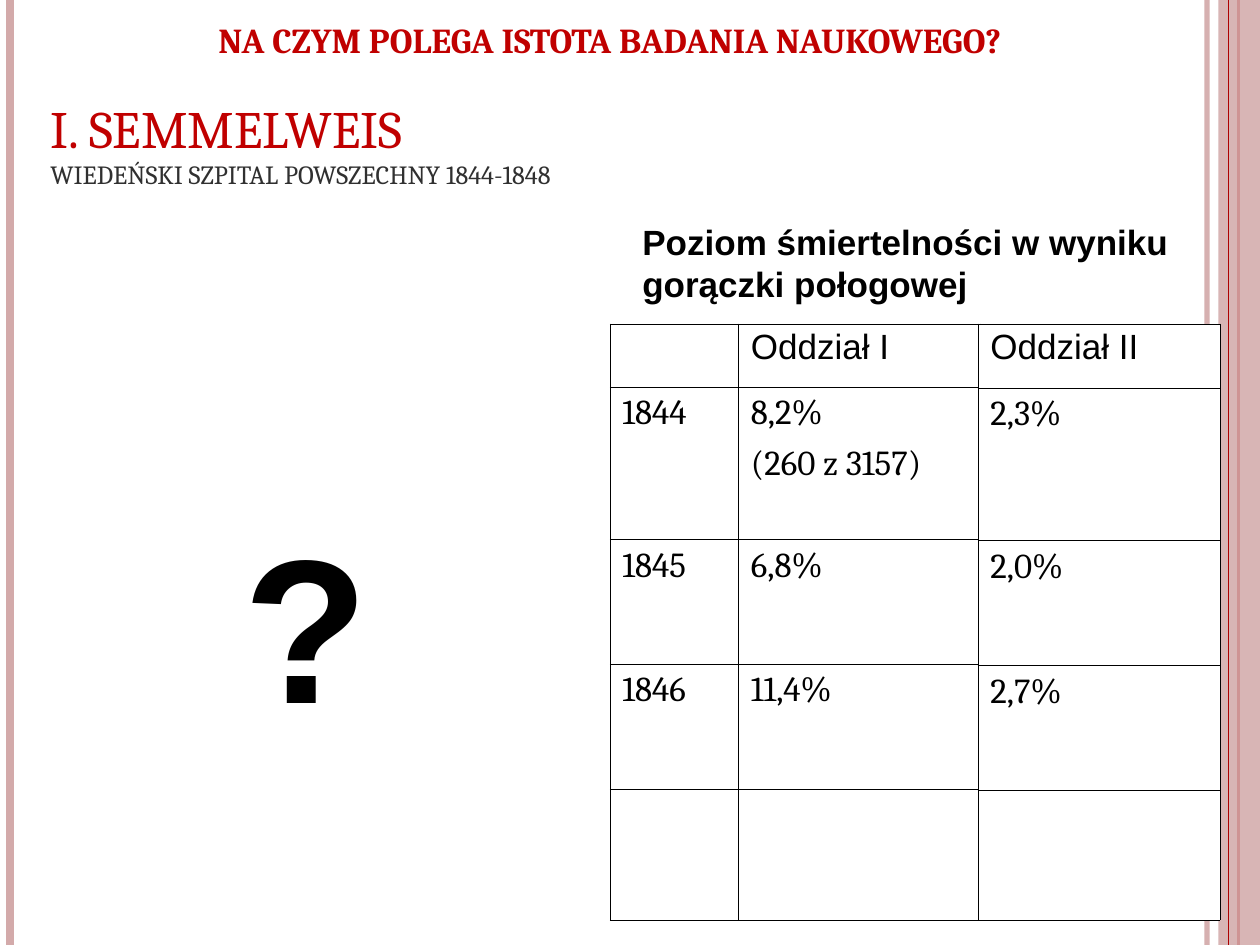
"""Build the Semmelweis slide with its mortality tables."""
from lxml import etree
from pptx import Presentation, util as u
from pptx.dml.color import RGBColor
from pptx.enum import shapes, text
from pptx.oxml import ns

COLORS = {"black": "000000", "white": "FFFFFF", "red": "C00000",
          "deep_red": "AD0101", "rose": "D3AAAA", "grey": "303030"}
WIDTH, HEIGHT = 10, 7.5
BORDER = 0.11

HEADLINE = "NA CZYM POLEGA ISTOTA BADANIA NAUKOWEGO?"
TITLE = [("I. SEMMELWEIS ", 30, "red"),
         ("WIEDEŃSKI SZPITAL POWSZECHNY 1844-1848", 15, "grey")]
CAPTION = "Poziom śmiertelności w wyniku gorączki połogowej"
RULES = [(9.58, "rose", 3, 93), (0.08, "rose", 4.5, 100), (9.83, "deep_red", 1.5, 100)]
BAND = (9.67, 0, 0.33, HEIGHT)
FRONT_RULE = (9.75, "deep_red", 0.75, 100)
WARD_I = [["", "Oddział I"], ["1844", "8,2%\n(260 z 3157)"], ["1845", "6,8%"],
          ["1846", "11,4%"], ["", ""]]
WARD_II = [["Oddział II"], ["2,3%"], ["2,0%"], ["2,7%"], [""]]
TABLE_TOP = 2.57
TABLES = [(4.84, [1.02, 1.92], [0.5, 1.21, 0.99, 0.99, 1.04], WARD_I),
          (7.76, [1.92], [0.51, 1.21, 0.99, 0.99, 1.03], WARD_II)]


def color(name):
    return RGBColor.from_string(COLORS[name])


def box(*lengths):
    return [u.Inches(length) for length in lengths]


def set_font(target, size, name="Arial", shade="black", bold=False):
    font = target.font
    font.size, font.name, font.bold = u.Pt(size), name, bold
    font.color.rgb = color(shade)


def set_alpha(shape, percent):
    for fill in shape._element.spPr.iter(ns.qn("a:srgbClr")):
        etree.SubElement(fill, ns.qn("a:alpha")).set("val", str(percent * 1000))


def add_rule(slide, left, shade, width, opacity):
    rule = slide.shapes.add_connector(shapes.MSO_CONNECTOR.STRAIGHT,
                                      *box(left, 0, left, HEIGHT))
    rule.line.color.rgb = color(shade)
    rule.line.width = u.Pt(width)
    etree.SubElement(rule._element.spPr, ns.qn("a:effectLst"))
    if opacity < 100:
        set_alpha(rule, opacity)


def add_band(slide):
    band = slide.shapes.add_shape(shapes.MSO_SHAPE.RECTANGLE, *box(*BAND))
    band.shadow.inherit = False
    band.fill.solid()
    band.fill.fore_color.rgb = color("rose")
    band.line.fill.background()
    set_alpha(band, 87)


def add_text(slide, place, words, size, align, name="Arial", shade="black",
             anchor=text.MSO_ANCHOR.TOP):
    frame = slide.shapes.add_textbox(*box(*place)).text_frame
    frame.word_wrap = True
    frame.vertical_anchor = anchor
    paragraph = frame.paragraphs[0]
    paragraph.text = words
    paragraph.alignment = align
    set_font(paragraph, size, name, shade, True)


def format_title(slide):
    title = slide.shapes.title
    title.left, title.top, title.width, title.height = box(0.3, 0.63, 8.17, 0.93)
    frame = title.text_frame
    frame.word_wrap = True
    frame.auto_size = text.MSO_AUTO_SIZE.NONE
    frame.vertical_anchor = text.MSO_ANCHOR.BOTTOM
    paragraph = frame.paragraphs[0]
    paragraph.alignment = text.PP_ALIGN.LEFT
    for index, (words, size, shade) in enumerate(TITLE):
        if index:
            paragraph.add_line_break()
        run = paragraph.add_run()
        run.text = words
        set_font(run, size, "Cambria", shade)


def add_borders(cell):
    properties = cell._tc.get_or_add_tcPr()
    for index, side in enumerate(("lnL", "lnR", "lnT", "lnB")):
        line = etree.Element(ns.qn(f"a:{side}"), w=str(u.Pt(BORDER)))
        fill = etree.SubElement(line, ns.qn("a:solidFill"))
        etree.SubElement(fill, ns.qn("a:srgbClr"), val=COLORS["black"])
        properties.insert(index, line)


def fill_cell(cell, words, header):
    cell.fill.solid()
    cell.fill.fore_color.rgb = color("white")
    add_borders(cell)
    cell.text_frame.text = words
    for index, paragraph in enumerate(cell.text_frame.paragraphs):
        set_font(paragraph, 20, "Arial" if header else "Cambria")
        if header:
            paragraph.line_spacing = 0.93
        if index:
            paragraph.space_before = u.Pt(6)


def add_ward(slide, left, columns, rows, content):
    frame = slide.shapes.add_table(len(rows), len(columns),
                                   *box(left, TABLE_TOP, sum(columns), sum(rows)))
    table = frame.table
    table.first_row = table.horz_banding = False
    for column, width in zip(table.columns, columns):
        column.width = u.Inches(width)
    for index, (row, height, words) in enumerate(zip(table.rows, rows, content)):
        row.height = u.Inches(height)
        for cell, value in zip(row.cells, words):
            fill_cell(cell, value, index == 0)


def main():
    presentation = Presentation()
    presentation.slide_width, presentation.slide_height = box(WIDTH, HEIGHT)
    slide = presentation.slides.add_slide(presentation.slide_layouts[5])
    format_title(slide)
    for rule in RULES:
        add_rule(slide, *rule)
    add_band(slide)
    add_rule(slide, *FRONT_RULE)
    add_ward(slide, *TABLES[0])
    add_text(slide, (5, 1.7, 4.8, 0.77), CAPTION, 20, text.PP_ALIGN.LEFT)
    add_text(slide, (0.75, 3.91, 3.35, 2.05), "?", 117, text.PP_ALIGN.CENTER)
    add_text(slide, (0.27, 0, 9.14, 0.63), HEADLINE, 20, text.PP_ALIGN.CENTER,
             "Cambria", "red", text.MSO_ANCHOR.MIDDLE)
    add_ward(slide, *TABLES[1])
    presentation.save("out.pptx")


if __name__ == "__main__":
    main()
